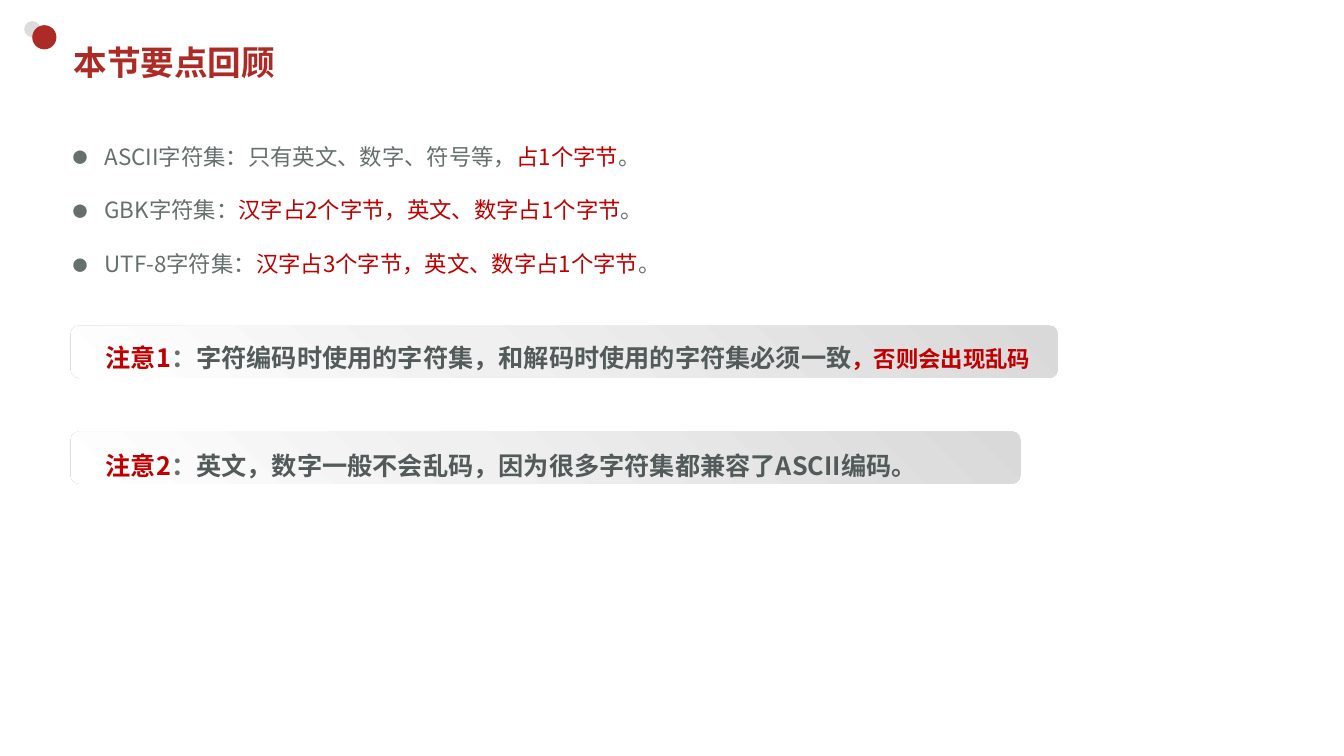
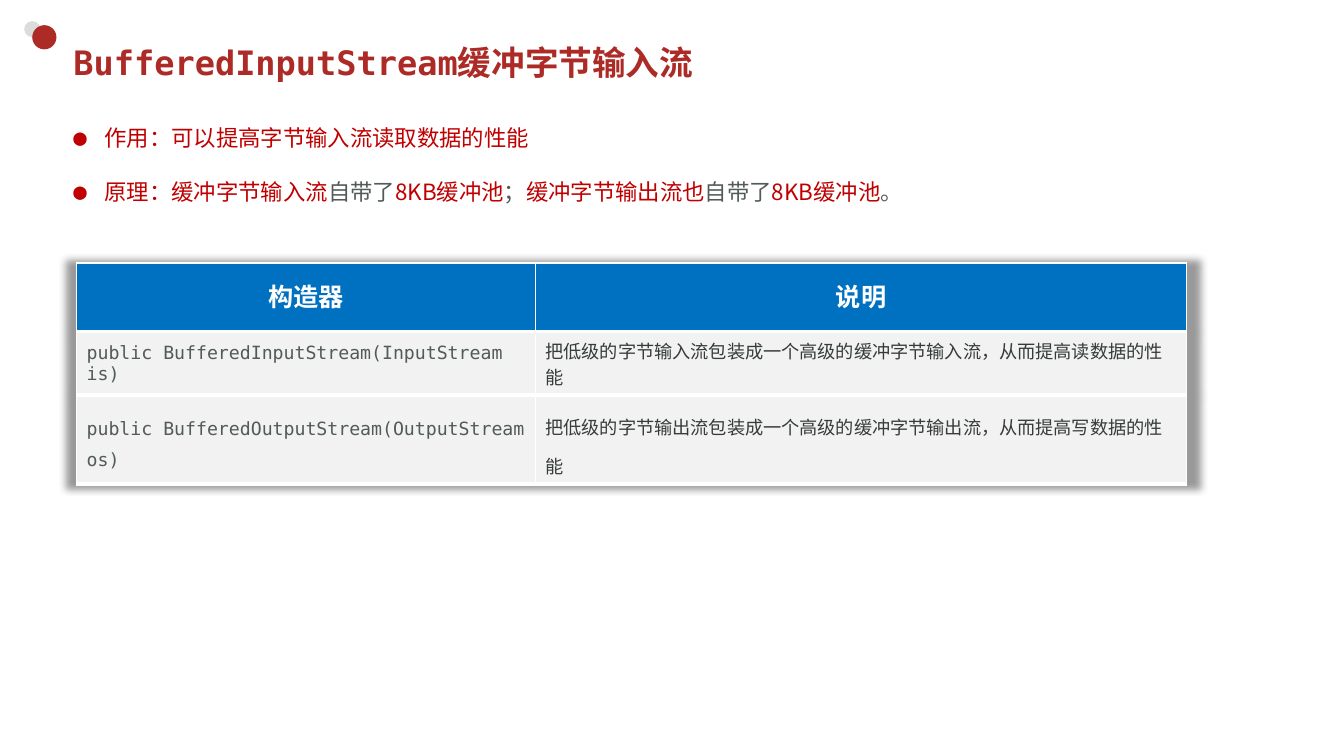
"""Build two lesson slides about character sets and buffered byte streams."""
from lxml import etree
from pptx import Presentation
from pptx.dml.color import RGBColor
from pptx.enum.shapes import MSO_SHAPE as Shape
from pptx.enum.text import MSO_ANCHOR as Anchor, MSO_AUTO_SIZE as AutoSize, PP_ALIGN as Align
from pptx.oxml.ns import qn
from pptx.util import Inches, Pt

COLORS = {
    "title": "AD2B26", "dot": "DADDDC", "red": "C00000", "gray": "65706E",
    "dark": "525B5A", "ink": "363C3B", "header": "0070C0", "cell": "F2F2F2",
    "pale": "F0F0F0", "silver": "D9D9D9", "white": "FFFFFF", "black": "000000",
}
SANS, MONO = "Noto Sans CJK JP", "DejaVu Sans Mono"


def rgb(name):
    return RGBColor.from_string(COLORS[name])


def add_color(parent, name):
    return etree.SubElement(parent, qn("a:srgbClr"), val=COLORS[name])


def style_run(run, size, color, font=SANS, bold=False):
    run.font.size = Pt(size)
    run.font.name = font
    run.font.bold = bold
    run.font.color.rgb = rgb(color)
    latin = run.font._element.find(qn("a:latin"))
    latin.addnext(latin.makeelement(qn("a:ea"), {"typeface": SANS}))


def add_spans(para, spans, size, bold=False):
    for text, color, *own_size in spans:
        run = para.add_run()
        run.text = text
        style_run(run, own_size[0] if own_size else size, color, bold=bold)


def add_box(page, left, top, width, height):
    box = page.shapes.add_textbox(Inches(left), Inches(top), Inches(width), Inches(height))
    box.text_frame.word_wrap = True
    return box.text_frame


def add_plain_shape(page, kind, left, top, width, height):
    shape = page.shapes.add_shape(kind, Inches(left), Inches(top), Inches(width), Inches(height))
    shape.shadow.inherit = False
    shape.line.fill.background()
    return shape


def add_page(deck, title):
    page = deck.slides.add_slide(deck.slide_layouts[6])
    for left, top, size, color in ((0.24, 0.21, 0.16, "dot"), (0.32, 0.25, 0.24, "title")):
        dot = add_plain_shape(page, Shape.OVAL, left, top, size, size)
        dot.fill.solid()
        dot.fill.fore_color.rgb = rgb(color)
    frame = add_box(page, 0.63, 0.36, 11.75, 0.52)
    frame.vertical_anchor = Anchor.MIDDLE
    frame.text = title
    style_run(frame.paragraphs[0].runs[0], 24, "title", MONO, True)
    return page


def add_bullets(page, top, width, height, items):
    frame = add_box(page, 0.63, top, width, height)
    frame.auto_size = AutoSize.SHAPE_TO_FIT_TEXT
    for index, spans in enumerate(items):
        para = frame.add_paragraph() if index else frame.paragraphs[0]
        props = para._p.get_or_add_pPr()
        props.set("marL", str(Inches(0.31)))
        props.set("indent", str(-Inches(0.31)))
        etree.SubElement(props, qn("a:buFont"), typeface=MONO)
        etree.SubElement(props, qn("a:buChar"), char="●")
        para.line_spacing = 2.0
        add_spans(para, spans, 16)


def fill_gradient(shape, stops, angle):
    shape.fill.background()
    empty = shape._element.spPr.find(qn("a:noFill"))
    gradient = empty.makeelement(qn("a:gradFill"), {"rotWithShape": "1"})
    stop_list = etree.SubElement(gradient, qn("a:gsLst"))
    for position, color in stops:
        add_color(etree.SubElement(stop_list, qn("a:gs"), pos=str(position * 1000)), color)
    etree.SubElement(gradient, qn("a:lin"), ang=str(angle * 60000), scaled="0")
    empty.getparent().replace(empty, gradient)


def add_note(page, bar_top, bar_widths, text_top, text_width, spans):
    layers = ((62, "cell", 135), (42, "pale", 315))
    for width, (middle, color, angle) in zip(bar_widths, layers):
        bar = add_plain_shape(page, Shape.ROUNDED_RECTANGLE, 0.7, bar_top, width, 0.52)
        fill_gradient(bar, ((0, "white"), (middle, color), (100, "silver")), angle)
    frame = add_box(page, 0.95, text_top, text_width, 0.41)
    frame.auto_size = AutoSize.SHAPE_TO_FIT_TEXT
    frame.paragraphs[0].line_spacing = 1.5
    add_spans(frame.paragraphs[0], spans, 18, True)


def set_borders(cell, widths):
    props = cell._tc.get_or_add_tcPr()
    for index, (side, width) in enumerate(zip("LRTB", widths)):
        line = props.makeelement(qn(f"a:ln{side}"), {"w": str(Pt(width))})
        add_color(etree.SubElement(line, qn("a:solidFill")), "white")
        props.insert(index, line)


def add_table_shadow(table):
    props = table._tbl.tblPr
    effects = props.makeelement(qn("a:effectLst"), {})
    shadow = etree.SubElement(
        effects, qn("a:outerShdw"), blurRad=str(Pt(5)), sx="102000", sy="102000",
        algn="ctr", rotWithShape="0")
    etree.SubElement(add_color(shadow, "black"), qn("a:alpha"), val="40000")
    props.insert(0, effects)


def add_constructor_table(page, rows):
    heights = (0.68, 0.63, 0.88)
    frame = page.shapes.add_table(
        len(rows), 2, Inches(0.76), Inches(2.61), Inches(11.01), Inches(sum(heights)))
    table = frame.table
    table.horz_banding = False
    for column, width in zip(table.columns, (4.55, 6.46)):
        column.width = Inches(width)
    spacings = (Pt(24), None, 1.5)
    for row_index, (texts, height, spacing) in enumerate(zip(rows, heights, spacings)):
        header = row_index == 0
        table.rows[row_index].height = Inches(height)
        for column_index, text in enumerate(texts):
            cell = table.cell(row_index, column_index)
            cell.vertical_anchor = Anchor.MIDDLE
            cell.fill.solid()
            cell.fill.fore_color.rgb = rgb("header" if header else "cell")
            set_borders(cell, (1, 1, 1 if header else 3, 3))
            para = cell.text_frame.paragraphs[0]
            para.text = text
            para.line_spacing = spacing
            para.alignment = Align.CENTER if header else Align.LEFT
            color = "white" if header else ("dark", "ink")[column_index]
            style_run(para.runs[0], 18 if header else 13, color, MONO, header)
    add_table_shadow(table)


def build_review(deck):
    page = add_page(deck, "本节要点回顾")
    add_note(page, 3.23, (7.89, 9.79), 3.2, 11.11, [
        ("注意1", "red"), ("：", "gray"),
        ("字符编码时使用的字符集，和解码时使用的字符集必须一致", "dark"),
        ("，否则会出现乱码", "red", 16)])
    add_note(page, 4.28, (7.59, 9.42), 4.27, 10.68, [
        ("注意2", "red"), ("：", "gray"),
        ("英文，数字一般不会乱码，因为很多字符集都兼容了ASCII编码。", "dark")])
    facts = (
        ("ASCII字符集：只有英文、数字、符号等，", "占1个字节"),
        ("GBK字符集：", "汉字占2个字节，英文、数字占1个字节"),
        ("UTF-8字符集：", "汉字占3个字节，英文、数字占1个字节"),
    )
    add_bullets(page, 1.1, 9.66, 1.65, [
        [(lead, "gray"), (key, "red"), ("。", "gray")] for lead, key in facts])


def build_streams(deck):
    page = add_page(deck, "BufferedInputStream缓冲字节输入流")
    add_bullets(page, 0.92, 10.35, 1.11, [
        [("作用：可以提高字节输入流读取数据的性能", "red")],
        [("原理：缓冲字节输入流", "red"), ("自带了", "dark"), ("8KB缓冲池", "red"),
         ("；", "dark"), ("缓冲字节输出流也", "red"), ("自带了", "dark"),
         ("8KB缓冲池", "red"), ("。", "dark")]])
    add_constructor_table(page, (
        ("构造器", "说明"),
        ("public BufferedInputStream(InputStream is)",
         "把低级的字节输入流包装成一个高级的缓冲字节输入流，从而提高读数据的性能"),
        ("public BufferedOutputStream(OutputStream os)",
         "把低级的字节输出流包装成一个高级的缓冲字节输出流，从而提高写数据的性能"),
    ))


def main():
    deck = Presentation()
    deck.slide_width, deck.slide_height = Inches(13.33), Inches(7.5)
    build_review(deck)
    build_streams(deck)
    deck.save("out.pptx")


if __name__ == "__main__":
    main()
